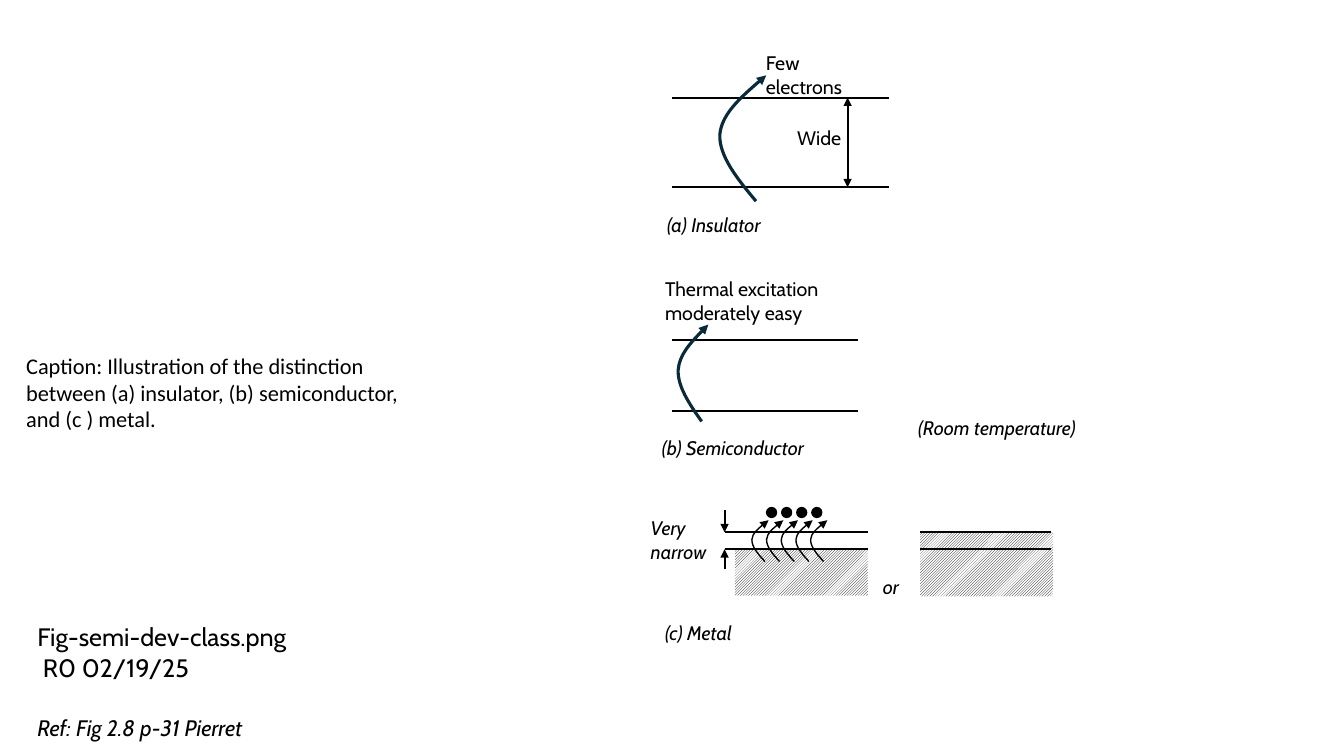
from dataclasses import dataclass

from pptx import Presentation
from pptx import oxml
from pptx import util as u
from pptx.dml.color import RGBColor
from pptx.enum import dml, shapes, text
from pptx.oxml import ns


@dataclass(frozen=True)
class Theme:
    ink: RGBColor = RGBColor(0, 0, 0)
    paper: RGBColor = RGBColor(255, 255, 255)
    navy: RGBColor = RGBColor(0x09, 0x2A, 0x39)
    face: str = "Cabin"
    plain: str = "Calibri"
    label: int = 14
    note: int = 16
    file: int = 18
    thin: float = 1
    rule: float = 1.5
    bold: float = 2.25


@dataclass(frozen=True)
class Line:
    x1: float
    y1: float
    x2: float
    y2: float
    head: bool = False
    tail: bool = False


@dataclass(frozen=True)
class Box:
    left: float
    top: float
    width: float
    height: float


@dataclass(frozen=True)
class Curve:
    box: Box
    color: RGBColor
    weight: float


@dataclass(frozen=True)
class Label:
    box: Box
    lines: tuple[str, ...]
    slant: bool = False
    size: int = Theme.label
    face: str = Theme.face
    wrap: bool = True


T = Theme()

# Band edges, in centimetres: left, right, upper, lower
BANDS = (
    (16.94, 22.4, 2.46, 4.72),
    (16.94, 21.62, 8.56, 10.36),
    (18.26, 21.87, 13.41, 13.84),
    (23.19, 26.49, 13.41, 13.84),
)
EDGES = [Line(a, y, b, y) for a, b, *ys in BANDS for y in ys]
ARROWS = [
    Line(21.36, 2.46, 21.36, 4.72, head=True, tail=True),
    Line(18.26, 12.85, 18.26, 13.41, tail=True),
    Line(18.26, 14.35, 18.26, 13.84, tail=True),
]
HATCHES = [Box(18.52, 13.84, 3.35, 1.17), Box(23.19, 13.41, 3.35, 1.62)]
DOTS = [Box(19.33 + 0.38 * i, 12.8, 0.23, 0.23) for i in range(4)]

# Excitation arrow: start and control points as shares of its box
BEND = ((0.78, 1), (0.37, 0.82), (-0.02, 0.64), (0, 0.47),
        (0.04, 0.31), (0.52, 0.15), (1, 0))
CURVES = [
    Curve(Box(18.14, 1.9, 1.17, 3.17), T.navy, T.bold),
    Curve(Box(17.09, 8.18, 0.76, 2.44), T.navy, T.bold),
] + [Curve(Box(18.95 + 0.37 * i, 13.11, 0.42, 1.04), T.ink, T.thin)
     for i in range(5)]

LABELS = [
    Label(Box(19.05, 1.17, 2.57, 1.45), ("Few electrons",)),
    Label(Box(19.84, 3.05, 2.57, 0.86), ("Wide",)),
    Label(Box(16.56, 5.23, 3.91, 0.86), ("(a) Insulator",), True),
    Label(Box(16.51, 6.86, 5.46, 1.45),
          ("Thermal excitation moderately easy",)),
    Label(Box(16.43, 10.87, 5.33, 0.86), ("(b) Semiconductor",), True),
    Label(Box(22.89, 10.36, 5.33, 0.86), ("(Room temperature)",), True),
    Label(Box(16.15, 12.88, 2.16, 1.45), ("Very", "narrow"), True),
    Label(Box(22, 14.35, 1.14, 0.86), ("or",), True),
    Label(Box(16.51, 15.52, 2.49, 0.86), ("(c) Metal",), True),
    Label(Box(0.69, 15.54, 7.09, 1.8),
          ("Fig-semi-dev-class.png", " R0 02/19/25"), size=T.file, wrap=False),
    Label(Box(0.69, 17.88, 6.2, 0.94), ("Ref: Fig 2.8 p-31 Pierret",),
          True, T.note, wrap=False),
    Label(Box(0.41, 8.74, 10.54, 2.31),
          ("Caption: Illustration of the distinction between (a) insulator, "
           "(b) semiconductor, and (c ) metal.",), size=T.note, face=T.plain),
]


def place(box: Box) -> tuple[u.Cm, ...]:
    return tuple(u.Cm(v) for v in (box.left, box.top, box.width, box.height))


def stroke(item, color: RGBColor, weight: float,
           head: bool = False, tail: bool = False) -> None:
    item.line.color.rgb = color
    item.line.width = u.Pt(weight)
    ln = item.element.spPr.find(ns.qn("a:ln"))
    for name, shown in (("headEnd", head), ("tailEnd", tail)):
        if shown:
            end = oxml.parse_xml(
                f'<a:{name} {ns.nsdecls("a")} type="triangle"/>')
            ln.append(end)


def draw_line(slide, line: Line) -> None:
    ends = (u.Cm(v) for v in (line.x1, line.y1, line.x2, line.y2))
    item = slide.shapes.add_connector(shapes.MSO_CONNECTOR.STRAIGHT, *ends)
    stroke(item, T.ink, T.rule, line.head, line.tail)
    item.element.spPr.append(
        oxml.parse_xml(f'<a:effectLst {ns.nsdecls("a")}/>'))


def draw_hatch(slide, box: Box) -> None:
    item = slide.shapes.add_shape(shapes.MSO_SHAPE.RECTANGLE, *place(box))
    item.shadow.inherit = False
    item.fill.patterned()
    item.fill.pattern = dml.MSO_PATTERN.LIGHT_UPWARD_DIAGONAL
    item.fill.fore_color.rgb = T.ink
    item.fill.back_color.rgb = T.paper
    item.line.fill.background()


def draw_dot(slide, box: Box) -> None:
    item = slide.shapes.add_shape(shapes.MSO_SHAPE.OVAL, *place(box))
    item.shadow.inherit = False
    item.fill.solid()
    item.fill.fore_color.rgb = T.ink
    stroke(item, T.ink, T.rule)


def draw_curve(slide, curve: Curve) -> None:
    box = curve.box
    start, *rest = [(u.Cm(box.left + x * box.width),
                     u.Cm(box.top + y * box.height)) for x, y in BEND]
    pen = slide.shapes.build_freeform(*start)
    pen.add_line_segments(rest, close=False)
    item = pen.convert_to_shape()
    item.shadow.inherit = False
    item.fill.background()
    stroke(item, curve.color, curve.weight, tail=True)
    # Every three points become one cubic segment
    track = item.element.spPr.find(".//" + ns.qn("a:path"))
    steps = track.findall(ns.qn("a:lnTo"))
    for i in range(0, len(steps), 3):
        cubic = oxml.parse_xml(f'<a:cubicBezTo {ns.nsdecls("a")}/>')
        track.append(cubic)
        for step in steps[i:i + 3]:
            cubic.append(step[0])
            track.remove(step)


def draw_label(slide, label: Label) -> None:
    frame = slide.shapes.add_textbox(*place(label.box)).text_frame
    frame.word_wrap = label.wrap
    frame.auto_size = text.MSO_AUTO_SIZE.SHAPE_TO_FIT_TEXT
    for i, words in enumerate(label.lines):
        para = frame.add_paragraph() if i else frame.paragraphs[0]
        run = para.add_run()
        run.text = words
        run.font.name = label.face
        run.font.size = u.Pt(label.size)
        run.font.italic = label.slant
        run.font.color.rgb = T.ink


def main() -> None:
    deck = Presentation()
    deck.slide_width, deck.slide_height = u.Cm(33.87), u.Cm(19.05)
    slide = deck.slides.add_slide(deck.slide_layouts[6])

    # Back to front: filled bands, edges, electrons, wording
    for draw, items in ((draw_hatch, HATCHES), (draw_line, EDGES + ARROWS),
                        (draw_curve, CURVES), (draw_dot, DOTS),
                        (draw_label, LABELS)):
        for item in items:
            draw(slide, item)
    deck.save("out.pptx")


if __name__ == "__main__":
    main()
